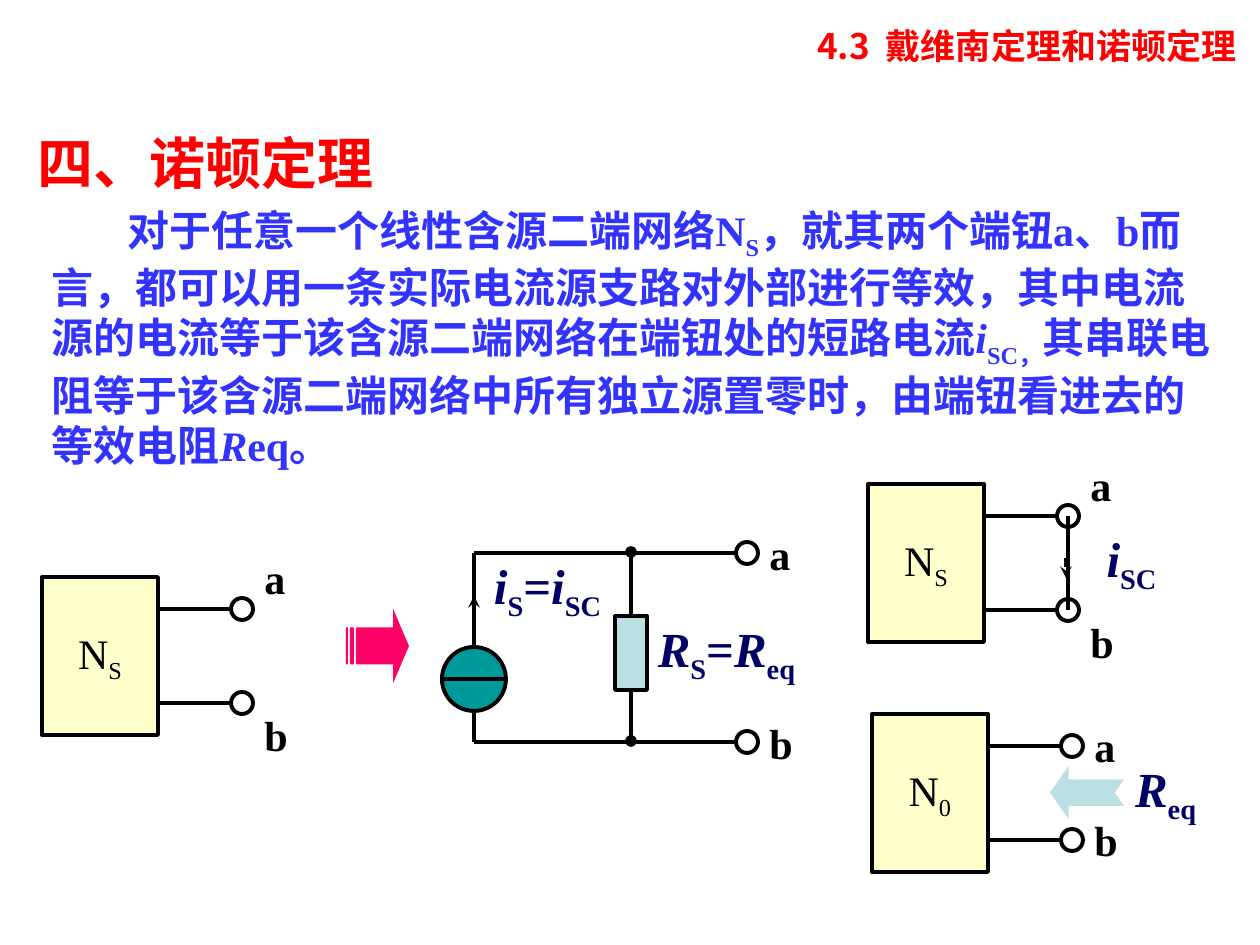
from lxml.etree import SubElement
from pptx import Presentation
from pptx.dml.color import RGBColor
from pptx.enum.shapes import MSO_CONNECTOR, MSO_SHAPE
from pptx.enum.text import MSO_ANCHOR, PP_ALIGN
from pptx.oxml.ns import qn
from pptx.util import Pt

PX = 914400 / 126
HUES = {"black": "000000", "white": "FFFFFF", "red": "FF0000", "blue": "3333FF",
        "navy": "000066", "cream": "FFFFCC", "teal": "009999", "ice": "BBE0E3",
        "pink": "FF0066"}
SERIF, SANS = "Times New Roman", "Noto Sans CJK SC"
LEFT, MID, RIGHT = PP_ALIGN.LEFT, PP_ALIGN.CENTER, PP_ALIGN.RIGHT

deck = Presentation()
deck.slide_width, deck.slide_height = round(1260 * PX), round(945 * PX)
slide = deck.slides.add_slide(deck.slide_layouts[6])
shapes = slide.shapes


def form(kind, x, y, w, h, fill, edge=True):
    item = shapes.add_shape(kind, *(round(n * PX) for n in (x, y, w, h)))
    item.shadow.inherit = False
    item.fill.solid()
    item.fill.fore_color.rgb = RGBColor.from_string(HUES[fill])
    if edge:
        item.line.color.rgb = RGBColor.from_string(HUES["black"])
        item.line.width = Pt(2.25)
    else:
        item.line.fill.background()
    return item


def wire(x1, y1, x2, y2, head=None, tail=None):
    line = shapes.add_connector(MSO_CONNECTOR.STRAIGHT,
                                *(round(n * PX) for n in (x1, y1, x2, y2)))
    line.line.color.rgb = RGBColor.from_string(HUES["black"])
    line.line.width = Pt(2.25)
    props = line._element.spPr
    for tag, end in (("a:headEnd", head), ("a:tailEnd", tail)):
        if end:
            SubElement(props.find(qn("a:ln")), qn(tag), type=end)
    SubElement(props, qn("a:effectLst"))


# Two-terminal networks: corner, subscript, offsets of labels a and b
nets, marks = [], []
for x, y, sub, up, down in ((42, 577, "S", -31, 126),
                            (868, 484, "S", -31, 126),
                            (872, 714, "0", 0, 94)):
    box = form(MSO_SHAPE.RECTANGLE, x, y, 116, 158, "cream")
    nets.append((box, sub))
    for name, drop, shift in (("a", 32, up), ("b", 126, down)):
        wire(x + 116, y + drop, x + 189, y + drop)
        form(MSO_SHAPE.OVAL, x + 189, y + drop - 11, 22, 22, "white")
        marks.append((name, x + 210, y + shift))

# Short circuit with its current arrow
wire(1068, 516, 1068, 610)
wire(1066, 558, 1066, 578, tail="stealth")

# Norton branch
for name, y in (("a", 553), ("b", 742)):
    wire(474, y, 736, y)
    form(MSO_SHAPE.OVAL, 736, y - 11, 22, 22, "white")
    marks.append((name, 757, y - 31))
wire(474, 553, 474, 742)
wire(631, 552, 631, 741, head="oval", tail="oval")
form(MSO_SHAPE.OVAL, 442, 647, 64, 64, "teal")
wire(506, 679, 442, 679)
wire(474, 647, 474, 596, tail="stealth")
form(MSO_SHAPE.RECTANGLE, 615, 616, 32, 74, "ice")

# Block arrows
step = form(MSO_SHAPE.STRIPED_RIGHT_ARROW, 346, 609, 63, 74, "pink", edge=False)
step.adjustments[1] = 0.25
look = form(MSO_SHAPE.NOTCHED_RIGHT_ARROW, 1050, 766, 74, 53, "ice", edge=False)
look.adjustments[1] = 0.35
look.rotation = 180

# Texts: place, runs as (text, style), size, colour, font, alignment
# Style i is italic, s is subscript
theorem = [
    ("对于任意一个线性含源二端网络N", ""), ("S", "s"),
    ("，就其两个端钮a、b而言，都可以用一条实际电流源支路对外部进行等效，"
     "其中电流源的电流等于该含源二端网络在端钮处的短路电流", ""),
    ("i", "i"), ("SC，", "s"),
    ("其串联电阻等于该含源二端网络中所有独立源置零时，由端钮看进去的等效电阻", ""),
    ("R", "i"), ("eq。", "")]
texts = [
    ((178, 18, 1071, 69), [("4.3  戴维南定理和诺顿定理", "")], 20, "red", SANS, RIGHT),
    ((25, 110, 1071, 104), [("四、诺顿定理", "")], 32, "red", SANS, LEFT),
    ((39, 198, 1187, 278), theorem, 24, "blue", SERIF, LEFT)]
for place, runs in (
        ((1079, 522, 105, 79), [("i", "i"), ("SC", "s")]),
        ((1113, 752, 105, 79), [("R", "i"), ("eq", "s")]),
        ((432, 549, 231, 79),
         [("i", "i"), ("S", "s"), ("=", ""), ("i", "i"), ("SC", "s")]),
        ((645, 612, 163, 79),
         [("R", "i"), ("S", "s"), ("=", ""), ("R", "i"), ("eq", "s")])):
    texts.append((place, runs, 28, "navy", SERIF, MID))
for name, x, y in marks:
    texts.append(((x, y, 94, 63), [(name, "")], 24, "black", SERIF, LEFT))
for box, sub in nets:
    texts.append((box, [("N", ""), (sub, "s")], 24, "black", SERIF, MID))

for place, runs, size, hue, face, align in texts:
    label = not isinstance(place, tuple)
    item = place if label else shapes.add_textbox(*(round(n * PX) for n in place))
    frame = item.text_frame
    frame.word_wrap = not label
    middle = align == MID or size == 32
    frame.vertical_anchor = MSO_ANCHOR.MIDDLE if middle else MSO_ANCHOR.TOP
    para = frame.paragraphs[0]
    para.alignment = align
    if runs is theorem:
        para._p.get_or_add_pPr().set("indent", str(round(76 * PX)))
    for words, style in runs:
        run = para.add_run()
        run.text = words
        font = run.font
        font.size, font.bold, font.italic = Pt(size), not label, style == "i"
        font.color.rgb = RGBColor.from_string(HUES[hue])
        font.name = face
        props = run._r.get_or_add_rPr()
        SubElement(props, qn("a:ea"), typeface=SANS)
        if style == "s":
            props.set("baseline", "-25000")

deck.save("out.pptx")
